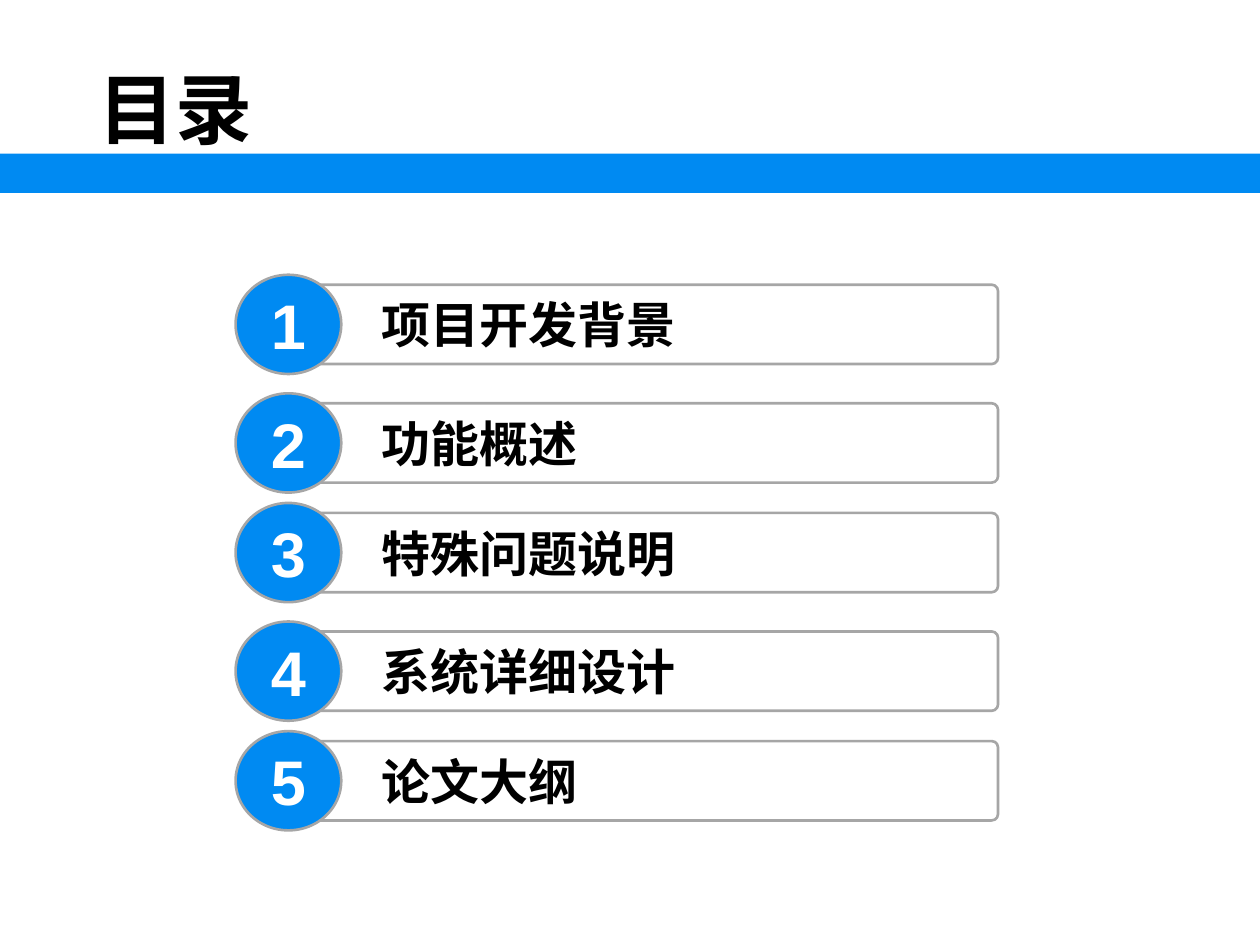
from lxml.etree import SubElement
from pptx import Presentation
from pptx.dml.color import RGBColor
from pptx.enum.shapes import MSO_SHAPE as Shape
from pptx.enum.text import MSO_ANCHOR as Anchor, PP_ALIGN as Align
from pptx.oxml.ns import qn
from pptx.util import Cm, Pt

COLOURS = {"blue": "008AF2", "grey": "A6A6A6", "white": "FFFFFF", "black": "000000"}
CHINESE, LATIN = "Noto Sans CJK SC", "Arial"
TOPICS = ["项目开发背景", "功能概述", "特殊问题说明", "系统详细设计", "论文大纲"]

FIRST_TOP = 5.74
PAIR_PITCH = 4.6   # rows come in pairs, with a wider step inside each pair
INNER_PITCH = 2.39


class AgendaSlide:
    """Holds the style and the slide that is being filled."""

    def __init__(self, slide):
        self.slide = slide

    def colour(self, name):
        return RGBColor.from_string(COLOURS[name])

    def label(self, shape, text, size, font, colour, align, **frame_format):
        """Put one bold line of text into a shape."""
        frame = shape.text_frame
        for name, value in frame_format.items():
            setattr(frame, name, value)
        paragraph = frame.paragraphs[0]
        paragraph.alignment = align
        run = paragraph.add_run()
        run.text = text
        for name, value in {"size": Pt(size), "name": font, "bold": True}.items():
            setattr(run.font, name, value)
        run.font.color.rgb = self.colour(colour)
        SubElement(run._r.get_or_add_rPr(), qn("a:ea"), typeface=font)

    def shape(self, parent, kind, box, fill, line=None):
        """Add a preset shape to the slide or a group; box is in centimetres."""
        shape = parent.shapes.add_shape(kind, *map(Cm, box))
        shape.shadow.inherit = False
        shape.fill.solid()
        shape.fill.fore_color.rgb = self.colour(fill)
        if line:
            shape.line.color.rgb = self.colour(line)
            shape.line.width = Pt(1.5)
        else:
            shape.line.fill.background()
        return shape

    def title(self, text, box):
        text_box = self.slide.shapes.add_textbox(*map(Cm, box))
        self.label(text_box, text, 44, CHINESE, "black", Align.CENTER, word_wrap=False)

    def topic(self, number, text, top):
        """Add one agenda row: a bar with its numbered circle, grouped."""
        group = self.slide.shapes.add_group_shape()
        bar = self.shape(group, Shape.ROUNDED_RECTANGLE, (5.82, top, 14.3, 1.6), "white", "grey")
        bar.adjustments[0] = 0.08
        self.label(bar, text, 28, CHINESE, "black", Align.LEFT, word_wrap=True,
                   vertical_anchor=Anchor.MIDDLE, margin_left=Cm(1.84))
        circle = self.shape(group, Shape.OVAL, (4.75, top - 0.2, 2.13, 2), "blue", "grey")
        self.label(circle, str(number), 36, LATIN, "white", Align.CENTER,
                   word_wrap=False, vertical_anchor=Anchor.MIDDLE)


def main():
    presentation = Presentation()
    presentation.slide_width, presentation.slide_height = Cm(25.4), Cm(19.05)
    slide = presentation.slides.add_slide(presentation.slide_layouts[6])
    agenda = AgendaSlide(slide)
    agenda.title("目录", (1.7, 1.12, 3.66, 2.13))
    agenda.shape(slide, Shape.RECTANGLE, (0, 3.1, 25.4, 0.79), "blue")
    for index, text in enumerate(TOPICS):
        pair, place = divmod(index, 2)
        agenda.topic(index + 1, text, FIRST_TOP + pair * PAIR_PITCH + place * INNER_PITCH)
    presentation.save("out.pptx")


if __name__ == "__main__":
    main()
